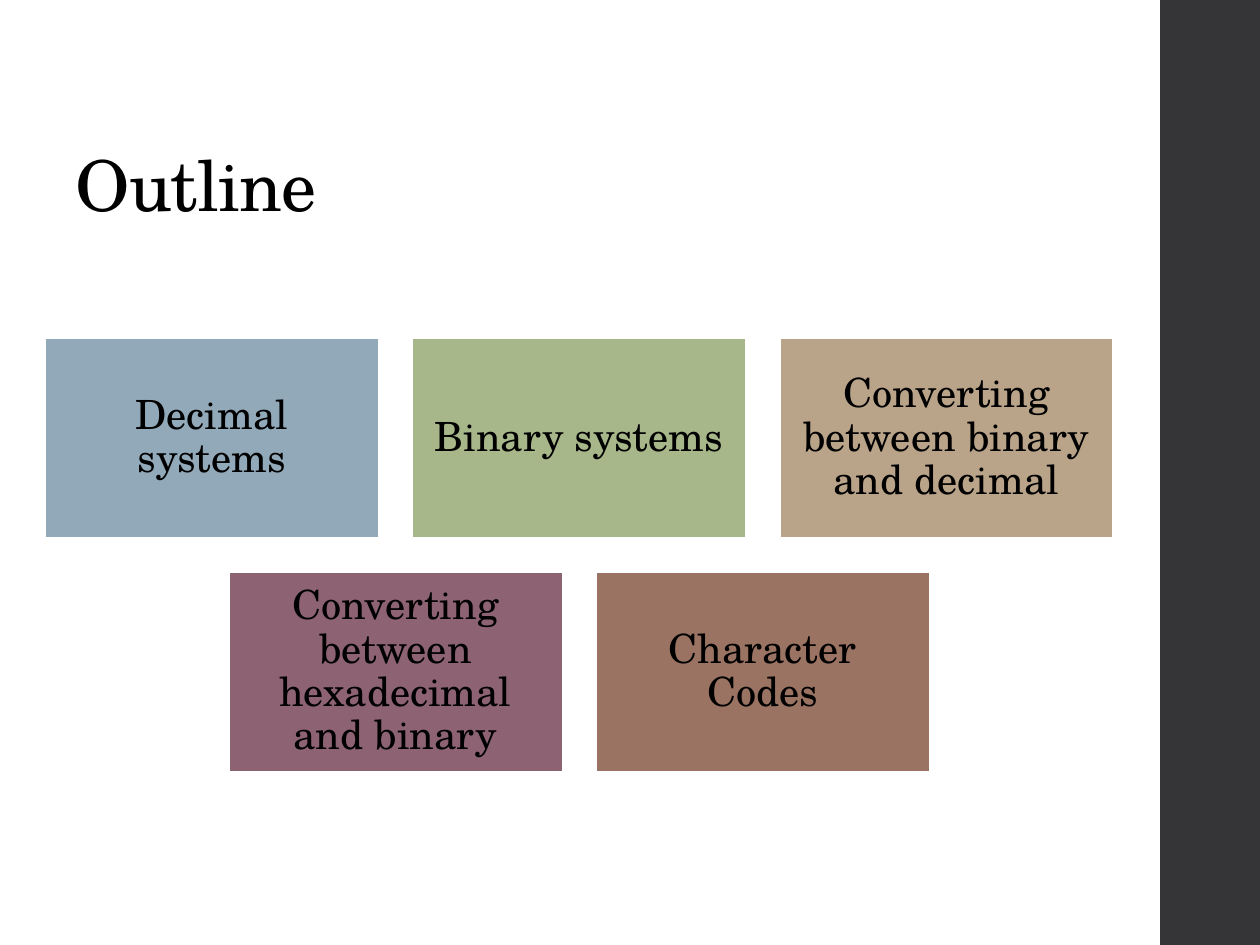
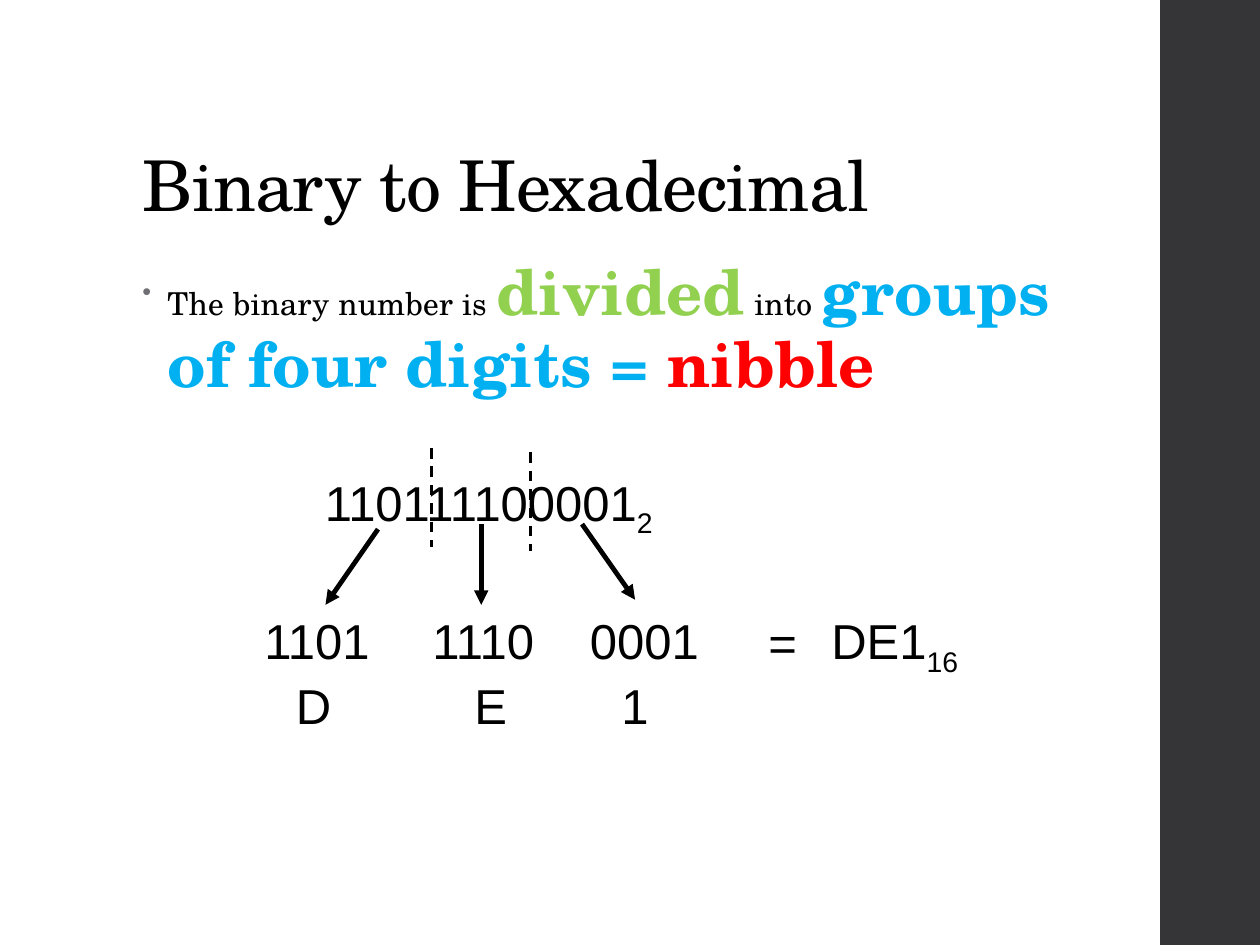
import pptx
import pptx.dml.color
import pptx.enum.dml
import pptx.enum.shapes
import pptx.enum.text
import pptx.oxml
import pptx.oxml.ns
import pptx.util
from dataclasses import dataclass

Pt = pptx.util.Pt
Align = pptx.enum.text.PP_ALIGN
Anchor = pptx.enum.text.MSO_ANCHOR


@dataclass(frozen=True)
class Theme:
    serif: str = "TeX Gyre Schola"
    sans: str = "Arial"
    ink: str = "000000"
    paper: str = "FFFFFF"
    band: str = "353537"
    bullet: str = "6F6F74"
    green: str = "92D050"
    blue: str = "00B0F0"
    red: str = "FF0000"
    cards: tuple = ("92A9B9", "A7B789", "B9A489", "8D6374", "9B7362")
    title_size: float = 40
    card_size: float = 23
    body_size: float = 18
    strong_size: float = 36
    digit_size: float = 28


def color(code):
    return pptx.dml.color.RGBColor.from_string(code)


def add_xml(parent, tag, **attributes):
    element = pptx.oxml.parse_xml(f"<a:{tag} {pptx.oxml.ns.nsdecls('a')}/>")
    for name, value in attributes.items():
        element.set(name, value)
    parent.append(element)
    return element


class SlideBuilder:
    def __init__(self, theme):
        self.theme = theme
        self.deck = pptx.Presentation()
        self.deck.slide_width, self.deck.slide_height = Pt(720), Pt(540)
        self.page = None

    def add_page(self, title, left, width):
        theme = self.theme
        self.page = self.deck.slides.add_slide(self.deck.slide_layouts[5])
        self.rectangle(663, 0, 57.6, 540, theme.band)
        box = self.page.shapes.title
        self.place(box, left, 28.8, width, 104.4)
        self.frame(box, vertical_anchor=Anchor.BOTTOM)
        para = self.paragraph(box, alignment=Align.LEFT, line_spacing=0.9)
        self.span(para, title, spacing=-50, size=Pt(theme.title_size), name=theme.serif)

    def place(self, box, left, top, width, height):
        box.left, box.top, box.width, box.height = map(Pt, (left, top, width, height))

    def frame(self, box, **formats):
        defaults = {"word_wrap": True, "auto_size": pptx.enum.text.MSO_AUTO_SIZE.NONE}
        for name, value in {**defaults, **formats}.items():
            setattr(box.text_frame, name, value)

    def paragraph(self, box, **formats):
        para = box.text_frame.paragraphs[0]
        for name, value in formats.items():
            setattr(para, name, value)
        return para

    def span(self, para, text, ink=None, spacing=None, baseline=None, **formats):
        span = para.add_run()
        span.text = text
        span.font.color.rgb = color(ink or self.theme.ink)
        for name, value in formats.items():
            setattr(span.font, name, value)
        for name, value in {"spc": spacing, "baseline": baseline}.items():
            if value is not None:
                span.font._element.set(name, str(value))

    def rectangle(self, left, top, width, height, fill, outline=None):
        box = self.page.shapes.add_shape(
            pptx.enum.shapes.MSO_SHAPE.RECTANGLE, *map(Pt, (left, top, width, height)))
        box.shadow.inherit = False
        box.fill.solid()
        box.fill.fore_color.rgb = color(fill)
        if outline:
            box.line.color.rgb = color(outline)
            box.line.width = Pt(1.1)
        else:
            box.line.fill.background()
        return box

    def card(self, text, left, top, width, height, fill):
        theme = self.theme
        box = self.rectangle(left, top, width, height, fill, theme.paper)
        margins = {f"margin_{side}": Pt(7.2) for side in ("left", "right", "top", "bottom")}
        self.frame(box, vertical_anchor=Anchor.MIDDLE, **margins)
        para = self.paragraph(box, alignment=Align.CENTER, line_spacing=0.9)
        self.span(para, text, size=Pt(theme.card_size), name=theme.serif)

    def text_box(self, left, top, width, height):
        box = self.page.shapes.add_textbox(*map(Pt, (left, top, width, height)))
        self.frame(box)
        return box

    def bullet_text(self, left, top, width, height, parts):
        theme = self.theme
        box = self.text_box(left, top, width, height)
        para = self.paragraph(box, line_spacing=0.95, space_after=Pt(2))
        properties = para._p.get_or_add_pPr()
        properties.set("marL", str(Pt(14.4)))
        properties.set("indent", str(-Pt(14.4)))
        add_xml(add_xml(properties, "buClr"), "srgbClr", val=theme.bullet)
        add_xml(properties, "buSzPct", val="80000")
        add_xml(properties, "buFont", typeface=theme.sans)
        add_xml(properties, "buChar", char="•")
        for text, ink in parts:
            size = theme.strong_size if ink else theme.body_size
            self.span(para, text, ink, spacing=10, size=Pt(size),
                      bold=ink is not None, name=theme.serif)

    def digits(self, text, left, top, width, base=None):
        theme = self.theme
        box = self.text_box(left, top, width, 41)
        para = self.paragraph(box)
        formats = {"size": Pt(theme.digit_size), "name": theme.sans}
        self.span(para, text, **formats)
        if base:
            self.span(para, base, baseline=-25000, **formats)
        return box

    def line(self, start, end, width, dashed=False, arrow=False, target=None):
        line = self.page.shapes.add_connector(
            pptx.enum.shapes.MSO_CONNECTOR.STRAIGHT, *map(Pt, (*start, *end)))
        line.line.color.rgb = color(self.theme.ink)
        line.line.width = Pt(width)
        if dashed:
            line.line.dash_style = pptx.enum.dml.MSO_LINE.DASH
        if arrow:
            add_xml(line.line._get_or_add_ln(), "tailEnd", type="triangle")
        add_xml(line._element.spPr, "effectLst")
        if target is not None:
            line.end_connect(target, 0)


def build_outline(builder):
    builder.add_page("Outline", 36, 610.6)
    rows = (
        ("Decimal systems", "Binary systems", "Converting between binary and decimal"),
        ("Converting between hexadecimal and binary", "Character Codes"),
    )
    width, height, gap, center = 190.8, 114.5, 19.1, 331
    fills = iter(builder.theme.cards)

    # Centred rows of topic cards
    for row, topics in enumerate(rows):
        row_left = center - (len(topics) * (width + gap) - gap) / 2
        top = 193 + row * (height + gap)
        for column, topic in enumerate(topics):
            left = row_left + column * (width + gap)
            builder.card(topic, left, top, width, height, next(fills))


def build_conversion(builder):
    theme = builder.theme
    builder.add_page("Binary to Hexadecimal", 74.2, 572.4)
    builder.bullet_text(74.2, 144, 558, 342.7, (
        ("The binary number is ", None),
        ("divided", theme.green),
        (" into ", None),
        ("groups of four digits = ", theme.blue),
        ("nibble", theme.red),
    ))

    # Nibbles with their hexadecimal digits below
    nibbles = [builder.digits(text, left, 345.6, 84)
               for text, left in (("1101", 144), ("1110", 240), ("0001", 330))]
    for text, left in (("D", 162), ("E", 264), ("1", 348)):
        builder.digits(text, left, 382.5, 42)

    # Full number and result
    builder.digits("110111100001", 178.5, 266.4, 212, base="2")
    builder.digits("=", 432, 346.5, 48)
    builder.digits("DE1", 468, 345.6, 90, base="16")

    # Arrows from the number to each nibble
    for start, end, target in (
        ((216, 302.4), (186, 345.6), nibbles[0]),
        ((332.6, 299.5), (362.9, 342.7), None),
        ((275, 299.5), (275, 345.6), None),
    ):
        builder.line(start, end, 2.75, arrow=True, target=target)

    # Dashed separators between nibbles
    for x, top in ((303.1, 258.5), (246.6, 256)):
        builder.line((x, top), (x, top + 56.5), 1.5, dashed=True)


def main():
    builder = SlideBuilder(Theme())
    build_outline(builder)
    build_conversion(builder)
    builder.deck.save("out.pptx")


if __name__ == "__main__":
    main()
